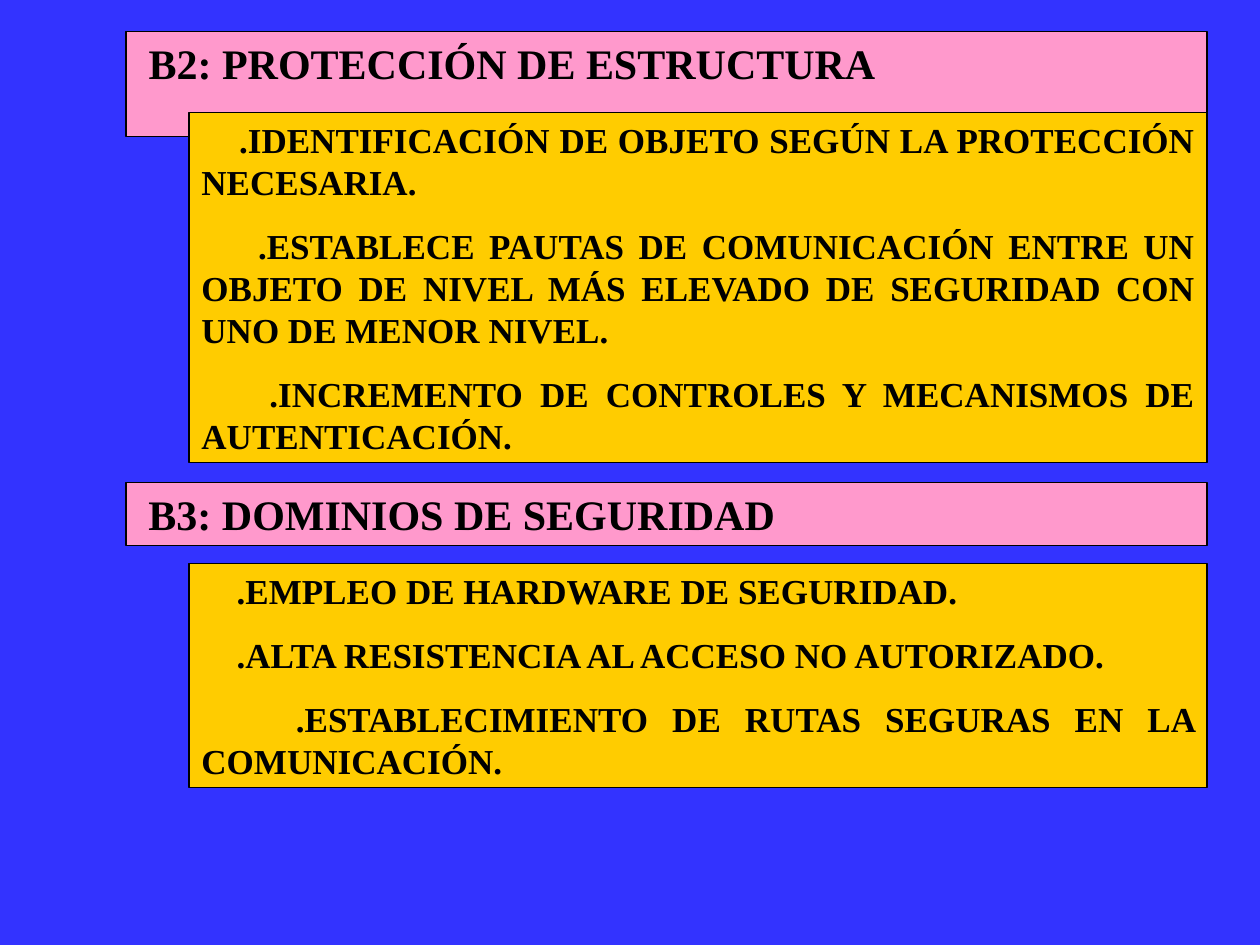
from dataclasses import dataclass

from pptx import Presentation
from pptx.dml.color import RGBColor as RGB
from pptx.enum.shapes import MSO_SHAPE as SHAPE
from pptx.enum.text import MSO_ANCHOR as ANCHOR, MSO_AUTO_SIZE as AUTO, PP_ALIGN as ALIGN
from pptx.util import Pt

PX = 9144  # EMU in one px, 100 px to the inch


@dataclass(frozen=True)
class Theme:
    font: str = "Times New Roman"
    background: RGB = RGB(0x33, 0x33, 0xFF)
    heading_fill: RGB = RGB(0xFF, 0x99, 0xCC)
    body_fill: RGB = RGB(0xFF, 0xCC, 0x00)
    ink: RGB = RGB(0, 0, 0)
    heading_size: int = 24
    body_size: int = 20
    line_width: float = 0.75
    paragraph_gap: float = 12.5


THEME = Theme()
HEADING_HEIGHT, HEADING_INDENT = 50, 8
BODY_INSET, BODY_GAP = 50, 14

# Each section: top, body height, heading, (first-line indent, text) items
SECTIONS = [
    (25, 278, "B2: PROTECCIÓN DE ESTRUCTURA", [
        (30, ".IDENTIFICACIÓN DE OBJETO SEGÚN LA PROTECCIÓN NECESARIA."),
        (45, ".ESTABLECE PAUTAS DE COMUNICACIÓN ENTRE UN OBJETO DE NIVEL MÁS "
             "ELEVADO DE SEGURIDAD CON UNO DE MENOR NIVEL."),
        (54, ".INCREMENTO DE CONTROLES Y MECANISMOS DE AUTENTICACIÓN."),
    ]),
    (383, 178, "B3: DOMINIOS DE SEGURIDAD", [
        (28, ".EMPLEO DE HARDWARE DE SEGURIDAD."),
        (28, ".ALTA RESISTENCIA AL ACCESO NO AUTORIZADO."),
        (75, ".ESTABLECIMIENTO DE RUTAS SEGURAS EN LA COMUNICACIÓN."),
    ]),
]


def add_text(p, text, *, size, indent, align, space_before=0):
    pPr = p._p.get_or_add_pPr()
    pPr.set("marL", "0")
    pPr.set("indent", str(indent * PX))
    p.alignment = align
    p.space_before = Pt(space_before)
    r = p.add_run()
    r.text = text
    r.font.name, r.font.size, r.font.bold = THEME.font, Pt(size), True
    r.font.color.rgb = THEME.ink


def format_panel(sp, box, fill):
    """Place a shape in its px box, fill and outline it; return its text frame."""
    sp.left, sp.top, sp.width, sp.height = (n * PX for n in box)
    sp.fill.solid()
    sp.fill.fore_color.rgb = fill
    sp.line.color.rgb = THEME.ink
    sp.line.width = Pt(THEME.line_width)
    tf = sp.text_frame
    tf.word_wrap = True
    tf.auto_size = AUTO.SHAPE_TO_FIT_TEXT
    tf.vertical_anchor = ANCHOR.TOP
    tf.margin_left = tf.margin_right = 10 * PX
    tf.margin_top = tf.margin_bottom = 5 * PX
    return tf


def add_rectangle(slide):
    sp = slide.shapes.add_shape(SHAPE.RECTANGLE, 0, 0, PX, PX)
    sp.shadow.inherit = False
    return sp


def add_section(slide, box, heading, items, title=None):
    """Add a heading bar over an inset body; title is the placeholder to use as the bar."""
    x, y, w, h = box
    bar = title if title is not None else add_rectangle(slide)
    tf = format_panel(bar, (x, y, w, HEADING_HEIGHT), THEME.heading_fill)
    add_text(tf.paragraphs[0], heading, size=THEME.heading_size,
             indent=HEADING_INDENT, align=ALIGN.LEFT)

    offset = HEADING_HEIGHT + BODY_GAP
    body = (x + BODY_INSET, y + offset, w - BODY_INSET, h - offset)
    tf = format_panel(add_rectangle(slide), body, THEME.body_fill)
    for i, (indent, text) in enumerate(items):
        p = tf.add_paragraph() if i else tf.paragraphs[0]
        add_text(p, text, size=THEME.body_size, indent=indent, align=ALIGN.JUSTIFY,
                 space_before=THEME.paragraph_gap if i else 0)


def main():
    prs = Presentation()
    prs.slide_width, prs.slide_height = 1000 * PX, 750 * PX
    slide = prs.slides.add_slide(prs.slide_layouts[5])
    slide.background.fill.solid()
    slide.background.fill.fore_color.rgb = THEME.background

    for i, (top, body_height, heading, items) in enumerate(SECTIONS):
        box = (100, top, 858, HEADING_HEIGHT + BODY_GAP + body_height)
        add_section(slide, box, heading, items, title=None if i else slide.shapes.title)

    prs.save("out.pptx")


if __name__ == "__main__":
    main()
